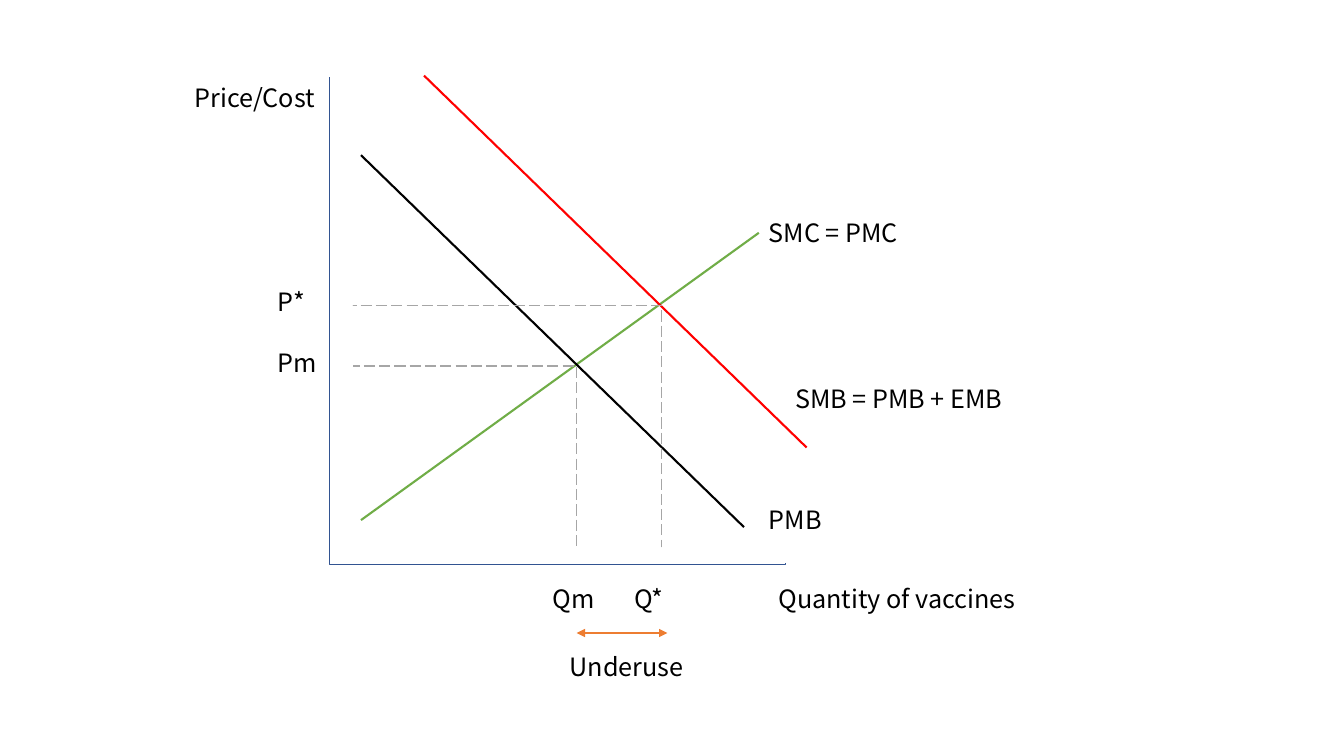
from dataclasses import dataclass

from lxml import etree
from pptx import Presentation
from pptx import util as u
from pptx.dml.color import RGBColor
from pptx.enum import dml, shapes, text
from pptx.oxml.ns import qn


@dataclass(frozen=True)
class Theme:
    font: str = "Noto Sans CJK KR"
    label_size: float = 18
    ink: str = "000000"
    paper: str = "FFFFFF"
    axis: str = "325491"
    supply: str = "70AD47"
    social: str = "FF0000"
    guide: str = "A6A6A6"
    gap: str = "ED7D31"
    thin: float = 1
    thick: float = 1.5


THEME = Theme()
WIDTH, HEIGHT = u.Inches(13.33), u.Inches(7.5)
LABEL_HEIGHT = 5.33
PRICE_SPACING = 22
QUANTITY_TAB = 0.81

# Positions and sizes are in percent of the slide's width and height.
# Boxes are left, top, width, height; points are x, y.
AXIS_FRAME = (24.53, 10.27, 33.91, 64.4)
PLOT_AREA = (24.61, 9.2, 38.41, 65.2)
GUIDE_FRAMES = [(25.73, 48.4, 17.18, 24.8), (26.18, 40.4, 23.03, 32.93)]
GUIDE_MARGINS = [(25.73, 72.4, 23.48, 2), (25.06, 40.4, 1.13, 32.93)]
UNDERUSE = (42.91, 83.73), (49.66, 83.73)

CURVES = [
    ((26.86, 68.8), (56.46, 30.8), THEME.supply),
    ((26.86, 20.53), (55.36, 69.73), THEME.ink),
    ((31.55, 10), (60.02, 59.2), THEME.social),
]
LABELS = [
    ("SMC = PMC", 56.46, 28.05, 16),
    ("PMB", 56.46, 66.08, 16),
    ("Qm\tQ*", 40.36, 76.53, 22.2),
    ("P*\nPm", 19.92, 37.27, 14.4),
    ("SMB = PMB + EMB", 58.42, 50, 21.2),
    ("Quantity of vaccines", 57.18, 76.53, 24.9),
    ("Price/Cost", 13.73, 10.27, 26.1),
    ("Underuse", 41.64, 85.47, 26.1),
]


def across(share):
    return u.Emu(round(WIDTH * share / 100))


def down(share):
    return u.Emu(round(HEIGHT * share / 100))


def add_box(page, area, color, fill=None, dash=None):
    left, top, width, height = area
    box = page.shapes.add_shape(
        shapes.MSO_SHAPE.RECTANGLE,
        across(left), down(top), across(width), down(height))
    box.shadow.inherit = False
    if fill is None:
        box.fill.background()
    else:
        box.fill.solid()
        box.fill.fore_color.rgb = RGBColor.from_string(fill)
    box.line.color.rgb = RGBColor.from_string(color)
    box.line.width = u.Pt(THEME.thin)
    if dash is not None:
        box.line.dash_style = dash


def add_margin(page, area):
    """Paper-coloured box that trims the sides of the frames behind it."""
    add_box(page, area, THEME.paper, fill=THEME.paper)


def add_line(page, start, end, color):
    line = page.shapes.add_connector(
        shapes.MSO_CONNECTOR.STRAIGHT,
        across(start[0]), down(start[1]), across(end[0]), down(end[1]))
    line.line.color.rgb = RGBColor.from_string(color)
    line.line.width = u.Pt(THEME.thick)
    etree.SubElement(line._element.spPr, qn("a:effectLst"))
    return line


def add_arrowheads(line):
    outline = line.line._get_or_add_ln()
    for end in ("a:headEnd", "a:tailEnd"):
        etree.SubElement(outline, qn(end), type="triangle")


def add_tab_stop(para, inches):
    stops = etree.SubElement(para._p.get_or_add_pPr(), qn("a:tabLst"))
    etree.SubElement(stops, qn("a:tab"), pos=str(u.Inches(inches)), algn="l")


def add_label(page, wording, left, top, width):
    lines = wording.split("\n")
    box = page.shapes.add_textbox(
        across(left), down(top), across(width), down(LABEL_HEIGHT))
    if len(lines) > 1:
        box.height = u.Inches(1.01)
    frame = box.text_frame
    frame.word_wrap = True
    frame.auto_size = text.MSO_AUTO_SIZE.SHAPE_TO_FIT_TEXT
    frame.text = wording
    for number, para in enumerate(frame.paragraphs):
        if number:
            para.space_before = u.Pt(PRICE_SPACING)
        if "\t" in lines[number]:
            add_tab_stop(para, QUANTITY_TAB)
        para.font.name = THEME.font
        para.font.size = u.Pt(THEME.label_size)
        para.font.color.rgb = RGBColor.from_string(THEME.ink)


def main():
    deck = Presentation()
    deck.slide_width, deck.slide_height = WIDTH, HEIGHT
    page = deck.slides.add_slide(deck.slide_layouts[6])

    add_box(page, AXIS_FRAME, THEME.axis)
    add_margin(page, PLOT_AREA)
    for start, end, color in CURVES:
        add_line(page, start, end, color)
    for area in GUIDE_FRAMES:
        add_box(page, area, THEME.guide, dash=dml.MSO_LINE.LONG_DASH)
    for area in GUIDE_MARGINS:
        add_margin(page, area)
    for label in LABELS:
        add_label(page, *label)
    add_arrowheads(add_line(page, *UNDERUSE, THEME.gap))

    deck.save("out.pptx")


if __name__ == "__main__":
    main()
